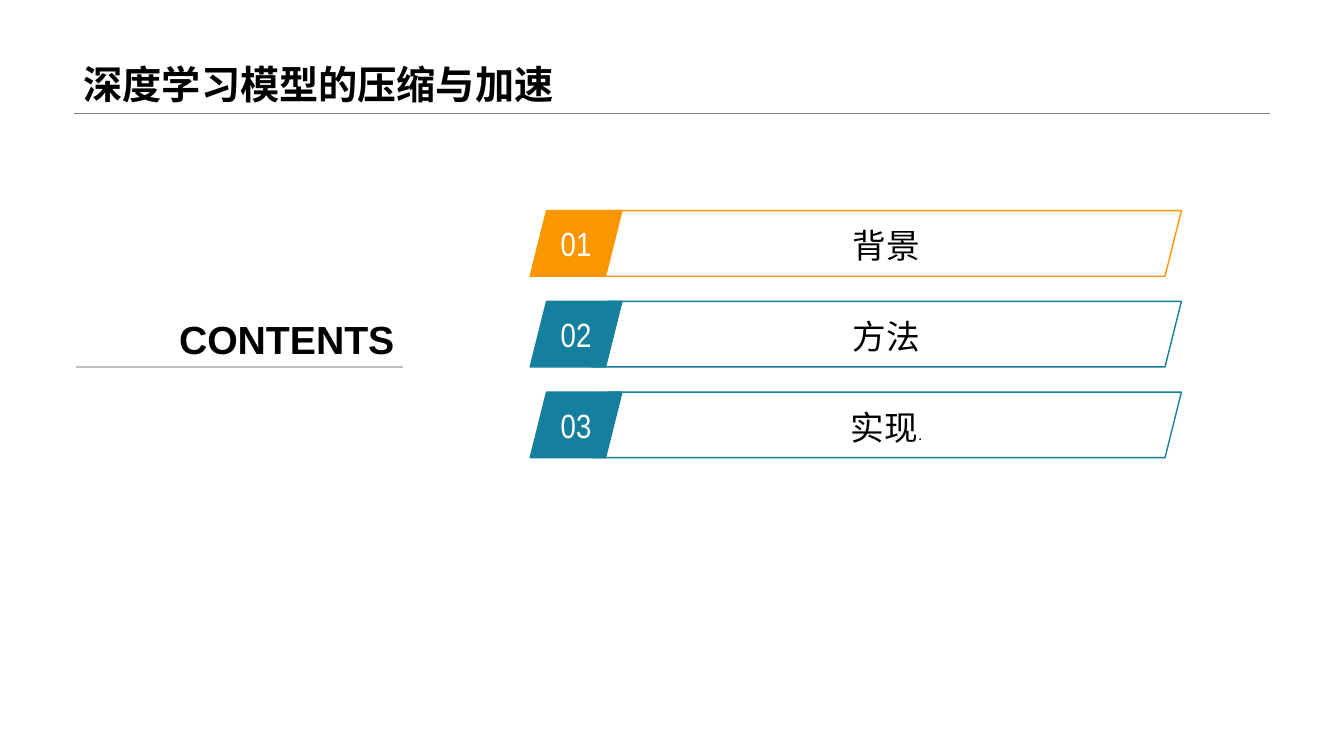
from dataclasses import dataclass

from lxml.etree import SubElement
from pptx import Presentation
from pptx.dml.color import RGBColor
from pptx.enum.shapes import MSO_CONNECTOR, MSO_SHAPE
from pptx.enum.text import MSO_ANCHOR, MSO_AUTO_SIZE, PP_ALIGN
from pptx.oxml.ns import qn
from pptx.util import Inches, Pt


@dataclass(frozen=True)
class Theme:
    ink: str = "000000"
    paper: str = "FFFFFF"
    current: str = "FA9600"
    upcoming: str = "14809E"
    title_rule: str = "808080"
    contents_rule: str = "BFBFBF"
    font: str = "Arial"
    number_font: str = "Arial Narrow"
    heading_size: float = 28
    item_size: float = 24
    mark_size: float = 11
    outline: float = 1


def grid(*steps):
    """Convert grid columns or rows, each a tenth of an inch, to lengths."""
    return [Inches(step / 10) for step in steps]


def write(frame, *runs, font, color, bold=False, align=PP_ALIGN.LEFT,
          anchor=MSO_ANCHOR.MIDDLE, spacing=1.0, wrap=True):
    """Fill a text frame with one paragraph of (text, size) runs."""
    frame.auto_size = MSO_AUTO_SIZE.NONE
    frame.word_wrap = wrap
    frame.vertical_anchor = anchor
    paragraph = frame.paragraphs[0]
    paragraph.alignment = align
    paragraph.line_spacing = spacing
    for text, size in runs:
        run = paragraph.add_run()
        run.text = text
        run.font.name = font
        run.font.size = Pt(size)
        run.font.bold = bold
        run.font.color.rgb = RGBColor.from_string(color)


class ContentsSlide:
    def __init__(self, presentation, theme):
        self.theme = theme
        self.slide = presentation.slides.add_slide(presentation.slide_layouts[5])

    def rule(self, left, right, row, color, weight):
        x1, y1, x2, y2 = grid(left, row, right, row)
        line = self.slide.shapes.add_connector(
            MSO_CONNECTOR.STRAIGHT, x1, y1, x2, y2)
        line.line.color.rgb = RGBColor.from_string(color)
        line.line.width = Pt(weight)
        SubElement(line._element.spPr, qn("a:effectLst"))

    def title(self, text, left, top, width, height):
        heading = self.slide.shapes.title
        heading.left, heading.top, heading.width, heading.height = grid(
            left, top, width, height)
        write(heading.text_frame, (text, self.theme.heading_size),
              font=self.theme.font, color=self.theme.ink, bold=True,
              anchor=MSO_ANCHOR.BOTTOM, spacing=0.9)

    def caption(self, text, left, top, width, height):
        box = self.slide.shapes.add_textbox(*grid(left, top, width, height))
        write(box.text_frame, (text, self.theme.heading_size),
              font=self.theme.font, color=self.theme.ink, bold=True,
              align=PP_ALIGN.RIGHT, anchor=MSO_ANCHOR.BOTTOM, wrap=False)

    def slanted_panel(self, left, top, width, height, color, filled):
        panel = self.slide.shapes.add_shape(
            MSO_SHAPE.PARALLELOGRAM, *grid(left, top, width, height))
        panel.shadow.inherit = False
        panel.line.color.rgb = RGBColor.from_string(color)
        panel.line.width = Pt(self.theme.outline)
        if filled:
            panel.fill.solid()
            panel.fill.fore_color.rgb = RGBColor.from_string(color)
        else:
            panel.fill.background()
        return panel.text_frame

    def item(self, number, runs, top, color):
        height = 6.5
        badge = self.slanted_panel(52.6, top, 9.1, height, color, filled=True)
        write(badge, (f"{number:02}", self.theme.item_size),
              font=self.theme.number_font, color=self.theme.paper,
              align=PP_ALIGN.CENTER, wrap=False)
        topic = self.slanted_panel(58.7, top, 58.5, height, color, filled=False)
        write(topic, *runs, font=self.theme.font, color=self.theme.ink,
              align=PP_ALIGN.CENTER, spacing=1.1)


def main():
    theme = Theme()
    presentation = Presentation()
    presentation.slide_width, presentation.slide_height = grid(133.33, 75)
    contents = ContentsSlide(presentation, theme)

    contents.rule(7.3, 126, 11.2, theme.title_rule, 0.25)
    contents.title("深度学习模型的压缩与加速", 7.3, 0, 118.7, 11.2)

    topics = [
        [("背景", theme.item_size)],
        [("方法", theme.item_size)],
        [("实现", theme.item_size), (".", theme.mark_size)],
    ]
    first_row, row_pitch = 20.9, 9
    for index, runs in enumerate(topics):
        color = theme.upcoming if index else theme.current
        contents.item(index + 1, runs, first_row + index * row_pitch, color)

    contents.rule(7.5, 40, 36.4, theme.contents_rule, 1.5)
    contents.caption("CONTENTS", 16.2, 25.4, 23.9, 11)
    presentation.save("out.pptx")


if __name__ == "__main__":
    main()
